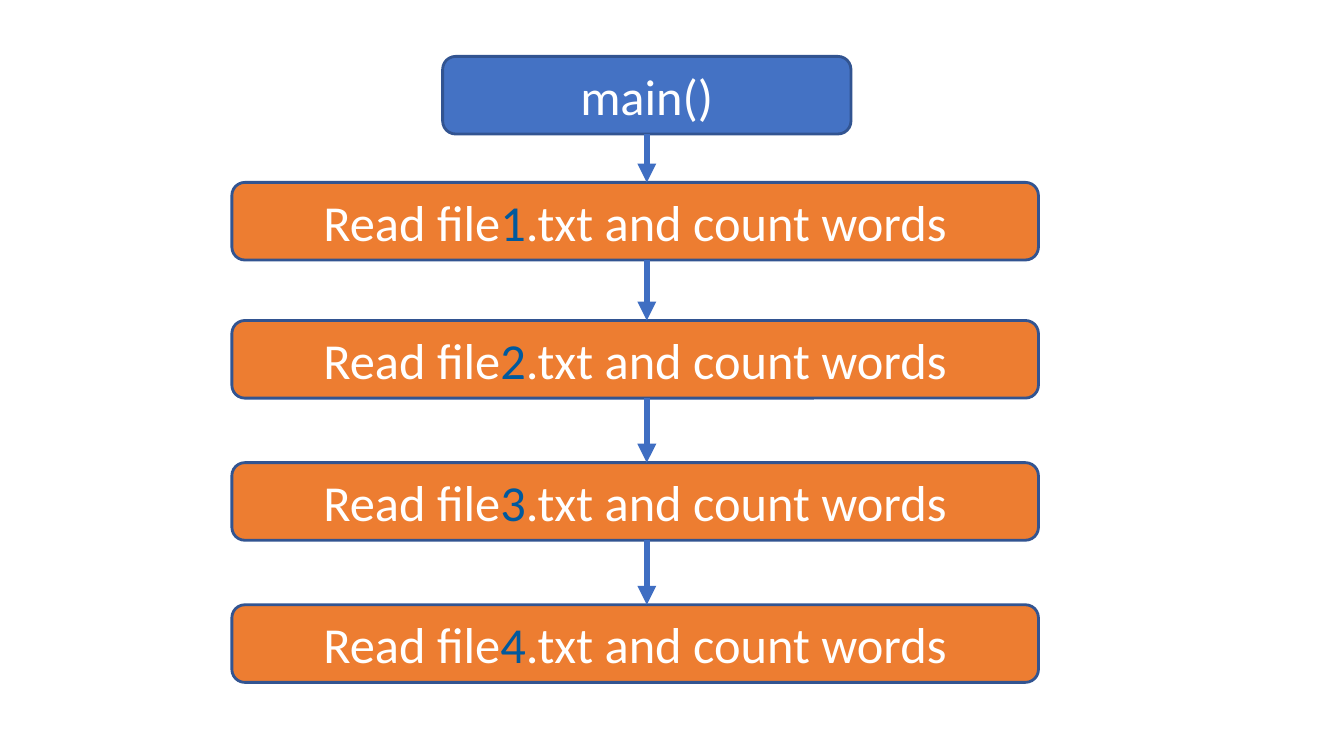
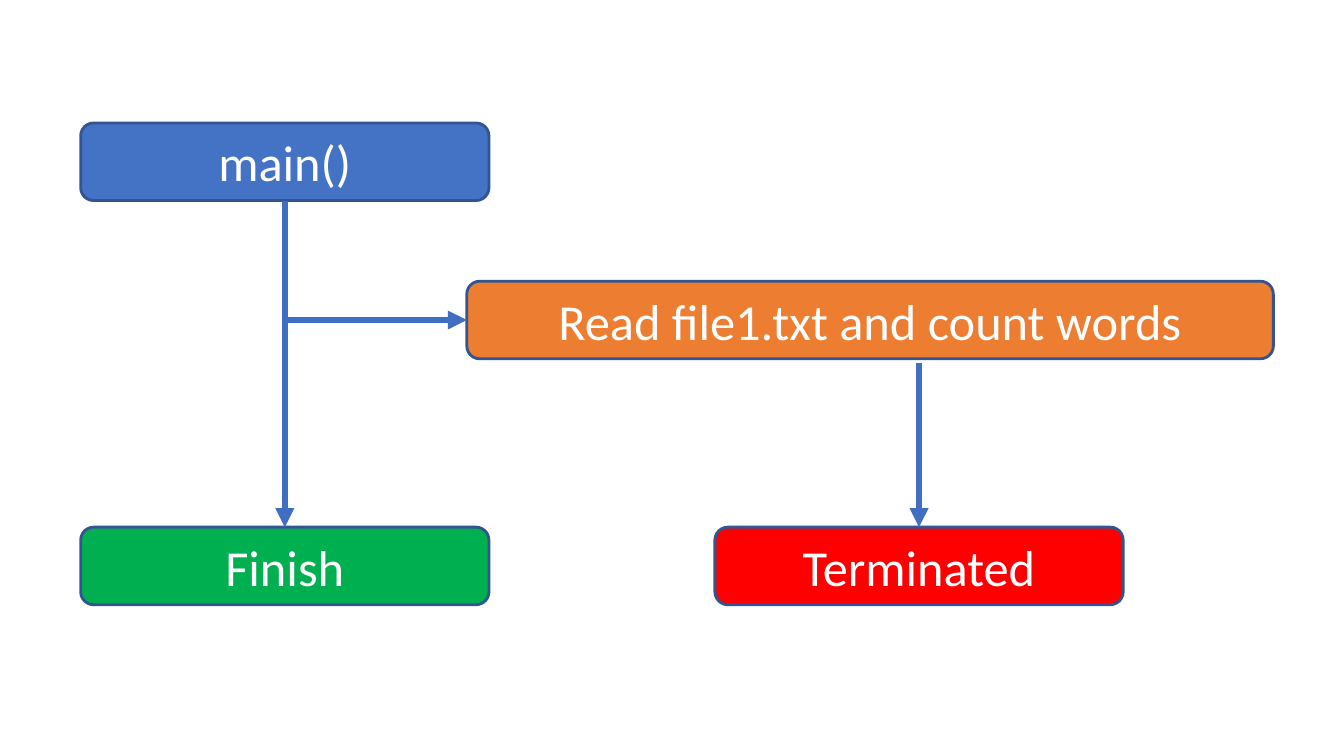
from itertools import pairwise

from lxml import etree
from pptx import Presentation
from pptx.dml.color import RGBColor
from pptx.enum.shapes import MSO_CONNECTOR, MSO_SHAPE
from pptx.enum.text import MSO_ANCHOR, PP_ALIGN
from pptx.oxml.ns import qn
from pptx.util import Inches, Pt

ROUNDED = MSO_SHAPE.ROUNDED_RECTANGLE
STRAIGHT = MSO_CONNECTOR.STRAIGHT
MIDDLE = MSO_ANCHOR.MIDDLE
CENTER = PP_ALIGN.CENTER

COLORS = {
    "main": "4472C4",
    "task": "ED7D31",
    "finish": "00B050",
    "terminated": "FF0000",
    "outline": "325491",
    "arrow": "3F6EC2",
    "text": "FFFFFF",
    "number": "00599D",
}
FONT, TEXT_SIZE = "Calibri", 36
BLANK_LAYOUT = 6
NARROW, WIDE, BOX_HEIGHT = 4.05, 8, 0.77

TASK_PARTS = ("Read file", ".txt and count words")
TASK_LEFT = 2.3
MAIN_LEFT, MAIN_TOP = 4.39, 0.56
TASK_TOPS = (1.81, 3.18, 4.59, 6)

THREAD_LEFT, THREAD_TOP = 0.8, 1.22
BRANCH_LEFT, BRANCH_TOP = 4.63, 2.79
END_TOP, TERMINATED_LEFT = 5.23, 7.09
BRANCH_GAP = 0.04


def color(key):
    return RGBColor.from_string(COLORS[key])


def add_box(slide, runs, fill, left, top, width):
    box = slide.shapes.add_shape(
        ROUNDED, Inches(left), Inches(top), Inches(width), Inches(BOX_HEIGHT))
    box.shadow.inherit = False
    box.fill.solid()
    box.fill.fore_color.rgb = color(fill)
    box.line.color.rgb = color("outline")
    box.line.width = Pt(2)
    frame = box.text_frame
    frame.word_wrap = True
    frame.vertical_anchor = MIDDLE
    paragraph = frame.paragraphs[0]
    paragraph.alignment = CENTER
    for text, key in runs:
        run = paragraph.add_run()
        run.text = text
        run.font.name = FONT
        run.font.size = Pt(TEXT_SIZE)
        run.font.color.rgb = color(key)


def add_arrow(slide, x1, y1, x2, y2):
    arrow = slide.shapes.add_connector(
        STRAIGHT, Inches(x1), Inches(y1), Inches(x2), Inches(y2))
    arrow.line.color.rgb = color("arrow")
    arrow.line.width = Pt(4.5)
    etree.SubElement(arrow.line._get_or_add_ln(), qn("a:tailEnd"), type="triangle")
    etree.SubElement(arrow._element.spPr, qn("a:effectLst"))


def task_runs(number, number_color):
    before, after = TASK_PARTS
    return [(before, "text"), (str(number), number_color), (after, "text")]


def build_sequence(slide):
    add_box(slide, [("main()", "text")], "main", MAIN_LEFT, MAIN_TOP, NARROW)
    for number, top in enumerate(TASK_TOPS, start=1):
        add_box(slide, task_runs(number, "number"), "task", TASK_LEFT, top, WIDE)
    axis = MAIN_LEFT + NARROW / 2
    for upper, lower in pairwise((MAIN_TOP, *TASK_TOPS)):
        add_arrow(slide, axis, upper + BOX_HEIGHT, axis, lower)


def build_thread(slide):
    add_box(slide, task_runs(1, "text"), "task", BRANCH_LEFT, BRANCH_TOP, WIDE)
    for label, fill, left, top in (
        ("main()", "main", THREAD_LEFT, THREAD_TOP),
        ("Finish", "finish", THREAD_LEFT, END_TOP),
        ("Terminated", "terminated", TERMINATED_LEFT, END_TOP),
    ):
        add_box(slide, [(label, "text")], fill, left, top, NARROW)
    main_axis = THREAD_LEFT + NARROW / 2
    end_axis = TERMINATED_LEFT + NARROW / 2
    branch_middle = BRANCH_TOP + BOX_HEIGHT / 2
    branch_bottom = BRANCH_TOP + BOX_HEIGHT + BRANCH_GAP
    add_arrow(slide, main_axis, THREAD_TOP + BOX_HEIGHT, main_axis, END_TOP)
    add_arrow(slide, main_axis, branch_middle, BRANCH_LEFT, branch_middle)
    add_arrow(slide, end_axis, branch_bottom, end_axis, END_TOP)


def main():
    deck = Presentation()
    deck.slide_width, deck.slide_height = Inches(13.33), Inches(7.5)
    for build in (build_sequence, build_thread):
        build(deck.slides.add_slide(deck.slide_layouts[BLANK_LAYOUT]))
    deck.save("out.pptx")


if __name__ == "__main__":
    main()
